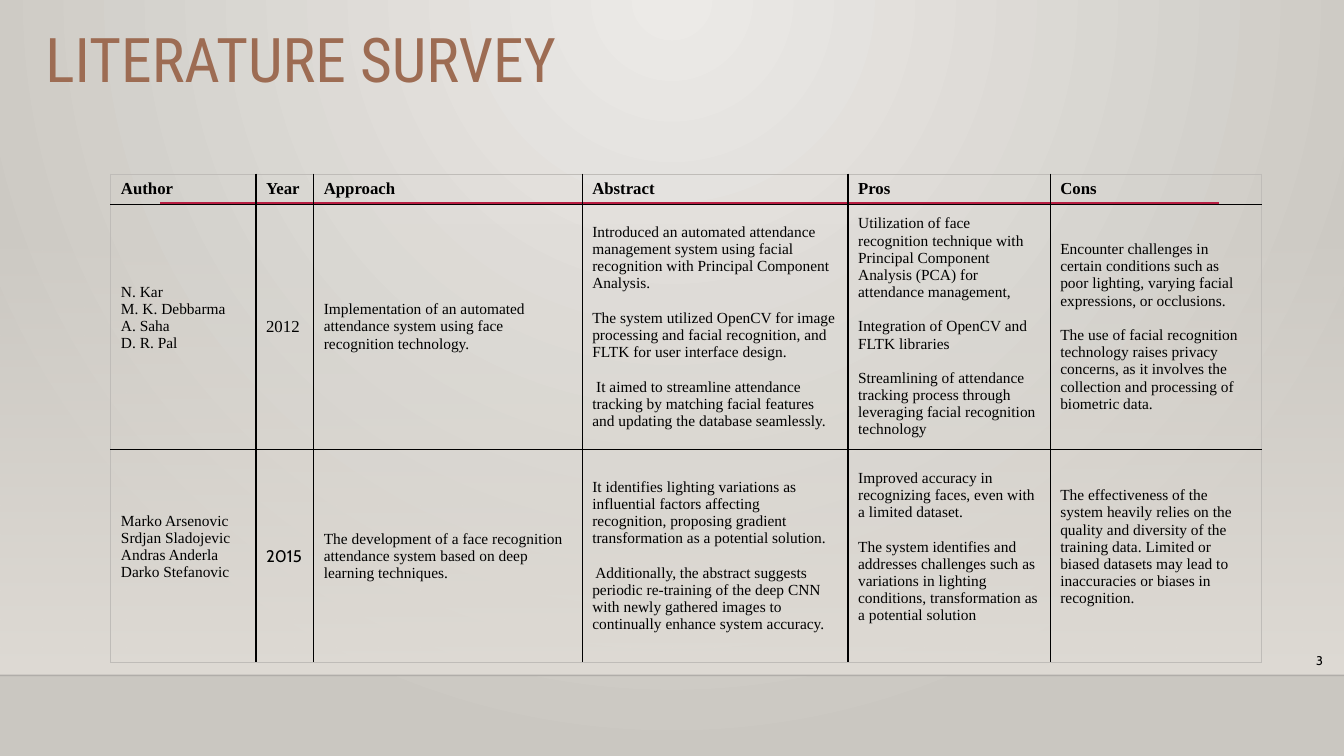
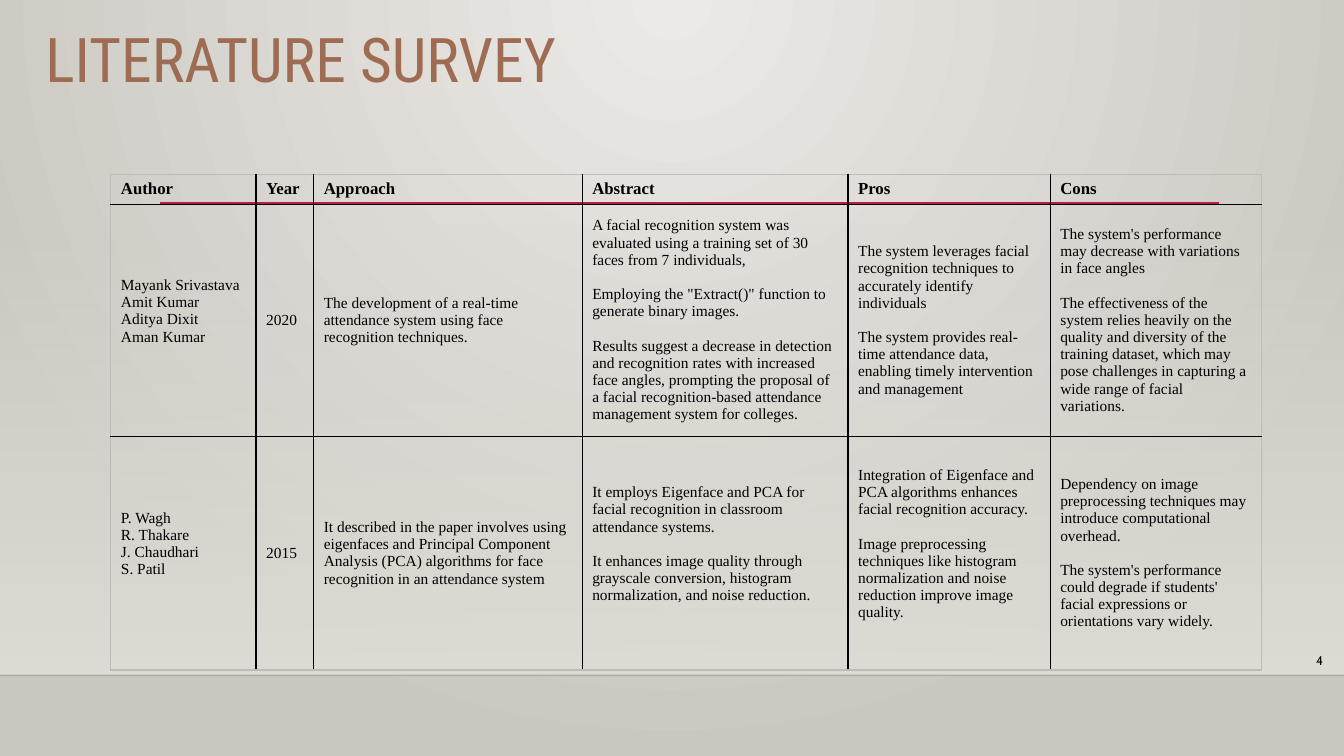
import pptx
import pptx.dml.color
import pptx.enum.shapes
import pptx.enum.text
import pptx.oxml
import pptx.oxml.ns
import pptx.util
from dataclasses import dataclass
from lxml import etree

Pt = pptx.util.Pt

HEADERS = ["Author", "Year", "Approach", "Abstract", "Pros", "Cons"]
AUTHOR, YEAR, APPROACH, ABSTRACT, PROS, CONS = range(6)
COLUMN_WIDTHS = [103.7, 41.2, 191.8, 189.9, 144.4, 151]
HEADER_HEIGHT = 21.4

SURVEYS = [
    {
        "number": "3",
        "row_heights": [175, 152.6],
        "year_styles": [("Times New Roman", 12), ("Cabin", 12)],
        "raised": {(0, AUTHOR), (1, AUTHOR), (1, PROS), (1, CONS)},
        "papers": [
            [
                ["N. Kar", "M. K. Debbarma", "A. Saha", "D. R. Pal"],
                ["2012"],
                ["Implementation of an automated attendance system using face recognition technology."],
                ["Introduced an automated attendance management system using facial recognition with Principal Component Analysis.",
                 "The system utilized OpenCV for image processing and facial recognition, and FLTK for user interface design.",
                 " It aimed to streamline attendance tracking by matching facial features and updating the database seamlessly."],
                ["Utilization of face recognition technique with Principal Component Analysis (PCA) for attendance management,",
                 "Integration of OpenCV and FLTK libraries",
                 "Streamlining of attendance tracking process through leveraging facial recognition technology"],
                ["Encounter challenges in certain conditions such as poor lighting, varying facial expressions, or occlusions.",
                 "The use of facial recognition technology raises privacy concerns, as it involves the collection and processing of biometric data."],
            ],
            [
                ["Marko Arsenovic", "Srdjan Sladojevic", "Andras Anderla", "Darko Stefanovic"],
                ["2015"],
                ["The development of a face recognition attendance system based on deep learning techniques."],
                ["It identifies lighting variations as influential factors affecting recognition, proposing gradient transformation as a potential solution.",
                 " Additionally, the abstract suggests periodic re-training of the deep CNN with newly gathered images to continually enhance system accuracy."],
                ["Improved accuracy in recognizing faces, even with a limited dataset.",
                 "The system identifies and addresses challenges such as variations in lighting conditions, transformation as a potential solution"],
                ["The effectiveness of the system heavily relies on the quality and diversity of the training data. Limited or biased datasets may lead to inaccuracies or biases in recognition."],
            ],
        ],
    },
    {
        "number": "4",
        "row_heights": [165.7, 167],
        "year_styles": [("Times New Roman", 11), ("Times New Roman", 11)],
        "raised": {(0, AUTHOR), (1, AUTHOR), (1, ABSTRACT), (1, PROS)},
        "papers": [
            [
                ["Mayank Srivastava", "Amit Kumar", "Aditya Dixit", "Aman Kumar"],
                ["2020"],
                ["The development of a real-time attendance system using face recognition techniques."],
                ["A facial recognition system was evaluated using a training set of 30 faces from 7 individuals,",
                 "Employing the \"Extract()\" function to generate binary images.",
                 "Results suggest a decrease in detection and recognition rates with increased face angles, prompting the proposal of a facial recognition-based attendance management system for colleges."],
                ["The system leverages facial recognition techniques to accurately identify individuals",
                 "The system provides real-time attendance data, enabling timely intervention and management"],
                ["The system's performance may decrease with variations in face angles",
                 "The effectiveness of the system relies heavily on the quality and diversity of the training dataset, which may pose challenges in capturing a wide range of facial variations."],
            ],
            [
                ["P. Wagh", "R. Thakare", "J. Chaudhari", "S. Patil"],
                ["2015"],
                ["It described in the paper involves using eigenfaces and Principal Component Analysis (PCA) algorithms for face recognition in an attendance system"],
                ["It employs Eigenface and PCA for facial recognition in classroom attendance systems.",
                 "It enhances image quality through grayscale conversion, histogram normalization, and noise reduction."],
                ["Integration of Eigenface and PCA algorithms enhances facial recognition accuracy.",
                 "Image preprocessing techniques like histogram normalization and noise reduction improve image quality."],
                ["Dependency on image preprocessing techniques may introduce computational overhead.",
                 "The system's performance could degrade if students' facial expressions or orientations vary widely."],
            ],
        ],
    },
]


@dataclass(frozen=True)
class Theme:
    width: float = 960
    height: float = 540
    glow: str = "ECEAE7"
    edge: str = "CAC7C1"
    wall: str = "DFDBD5"
    floor_line: str = "000001"
    accent: str = "B71E42"
    title: str = "9D6C53"
    ink: str = "000000"
    frame: str = "BFBCB8"
    title_font: str = "Roboto Condensed"
    body_font: str = "Times New Roman"
    number_font: str = "Cabin"
    title_size: float = 44
    header_size: float = 12
    body_size: float = 11
    number_size: float = 9
    paragraph_gap: float = 12.4
    cell_margin: float = 3.6
    raised_margin: float = 16.5


THEME = Theme()


def rgb(value):
    return pptx.dml.color.RGBColor.from_string(value)


def gradient(start, end, direction, start_alpha=100):
    return pptx.oxml.parse_xml(
        f'<a:gradFill {pptx.oxml.ns.nsdecls("a")} rotWithShape="1"><a:gsLst>'
        f'<a:gs pos="0"><a:srgbClr val="{start}"><a:alpha val="{start_alpha * 1000}"/></a:srgbClr></a:gs>'
        f'<a:gs pos="100000"><a:srgbClr val="{end}"/></a:gs>'
        f'</a:gsLst>{direction}</a:gradFill>')


def replace_fill(owner, fill):
    old = owner.xpath(".//a:solidFill")[0]
    old.getparent().replace(old, fill)


def add_span(para, text, font, size, color, bold=False):
    span = para.add_run()
    span.text = text
    span.font.name = font
    span.font.size = Pt(size)
    span.font.color.rgb = rgb(color)
    span.font.bold = bold


def add_line(page, left, right, y, color, weight, opacity=None):
    line = page.shapes.add_connector(
        pptx.enum.shapes.MSO_CONNECTOR.STRAIGHT, Pt(left), Pt(y), Pt(right), Pt(y))
    line.line.color.rgb = rgb(color)
    line.line.width = Pt(weight)
    properties = line._element.spPr
    if opacity is not None:
        color_node = properties.xpath(".//a:srgbClr")[0]
        etree.SubElement(color_node, pptx.oxml.ns.qn("a:alpha"), val=str(opacity * 1000))
    etree.SubElement(properties, pptx.oxml.ns.qn("a:effectLst"))


def set_background(master):
    fill = master.background.fill
    fill.solid()
    fill.fore_color.rgb = rgb(THEME.edge)
    direction = '<a:path path="circle"><a:fillToRect l="43000" t="0" r="43000" b="100000"/></a:path>'
    replace_fill(master._element.cSld, gradient(THEME.glow, THEME.edge, direction))


def add_backdrop(page):
    wall = page.shapes.add_shape(
        pptx.enum.shapes.MSO_SHAPE.RECTANGLE, 0, Pt(159), Pt(THEME.width), Pt(323.4))
    wall.shadow.inherit = False
    wall.line.fill.background()
    wall.fill.solid()
    wall.fill.fore_color.rgb = rgb(THEME.wall)
    replace_fill(wall._element.spPr, gradient(
        THEME.wall, THEME.wall, '<a:lin ang="5400000" scaled="0"/>', 0))
    add_line(page, 0, THEME.width, 482.4, THEME.floor_line, 1, 20)
    add_line(page, 114.5, 871, 145.4, THEME.accent, 2.5)


def write_title(page, text):
    title = page.shapes.title
    title.left, title.top, title.width, title.height = Pt(25.2), Pt(17.3), Pt(756), Pt(82.8)
    frame = title.text_frame
    frame.auto_size = pptx.enum.text.MSO_AUTO_SIZE.NONE
    frame.vertical_anchor = pptx.enum.text.MSO_ANCHOR.TOP
    para = frame.paragraphs[0]
    para.alignment = pptx.enum.text.PP_ALIGN.LEFT
    para.line_spacing = 0.9
    add_span(para, text, THEME.title_font, THEME.title_size, THEME.title)


def add_number(page, number):
    box = page.shapes.add_textbox(Pt(933), Pt(463), Pt(27), Pt(18))
    box.text_frame.word_wrap = True
    add_span(box.text_frame.paragraphs[0], number,
             THEME.number_font, THEME.number_size, THEME.ink)


def set_borders(cell, outer_sides):
    properties = cell._tc.get_or_add_tcPr()
    for side in "LRTB":
        color = THEME.frame if side in outer_sides else THEME.ink
        properties.append(pptx.oxml.parse_xml(
            f'<a:ln{side} {pptx.oxml.ns.nsdecls("a")} w="12700">'
            f'<a:solidFill><a:srgbClr val="{color}"/></a:solidFill></a:ln{side}>'))


def fill_cell(cell, lines, font, size, bold=False, gap=0.0, raised=False):
    cell.fill.background()
    cell.vertical_anchor = pptx.enum.text.MSO_ANCHOR.MIDDLE
    cell.margin_bottom = Pt(THEME.raised_margin if raised else THEME.cell_margin)
    frame = cell.text_frame
    for index, text in enumerate(lines):
        para = frame.add_paragraph() if index else frame.paragraphs[0]
        para.space_before = Pt(gap if index else 0)
        add_span(para, text, font, size, THEME.ink, bold)


def add_survey_table(page, survey):
    heights = [HEADER_HEIGHT, *survey["row_heights"]]
    table = page.shapes.add_table(
        len(heights), len(HEADERS), Pt(79.2), Pt(124.5),
        Pt(sum(COLUMN_WIDTHS)), Pt(sum(heights))).table
    table.first_row = table.horz_banding = False
    for column, width in zip(table.columns, COLUMN_WIDTHS):
        column.width = Pt(width)
    for row, height in zip(table.rows, heights):
        row.height = Pt(height)
    last_row, last_column = len(heights) - 1, len(HEADERS) - 1
    for row in range(len(heights)):
        for column in range(len(HEADERS)):
            edges = {"L": column == 0, "R": column == last_column,
                     "T": row == 0, "B": row == last_row}
            set_borders(table.cell(row, column), [side for side in edges if edges[side]])
    for column, header in enumerate(HEADERS):
        fill_cell(table.cell(0, column), [header], THEME.body_font, THEME.header_size, bold=True)
    for row, paper in enumerate(survey["papers"]):
        for column, lines in enumerate(paper):
            font, size = THEME.body_font, THEME.body_size
            if column == YEAR:
                font, size = survey["year_styles"][row]
            fill_cell(table.cell(row + 1, column), lines, font, size,
                      gap=0 if column == AUTHOR else THEME.paragraph_gap,
                      raised=(row, column) in survey["raised"])


def main():
    deck = pptx.Presentation()
    deck.slide_width, deck.slide_height = Pt(THEME.width), Pt(THEME.height)
    set_background(deck.slide_master)
    for survey in SURVEYS:
        page = deck.slides.add_slide(deck.slide_layouts.get_by_name("Title Only"))
        add_backdrop(page)
        write_title(page, "LITERATURE SURVEY")
        add_survey_table(page, survey)
        add_number(page, survey["number"])
    deck.save("out.pptx")


if __name__ == "__main__":
    main()
